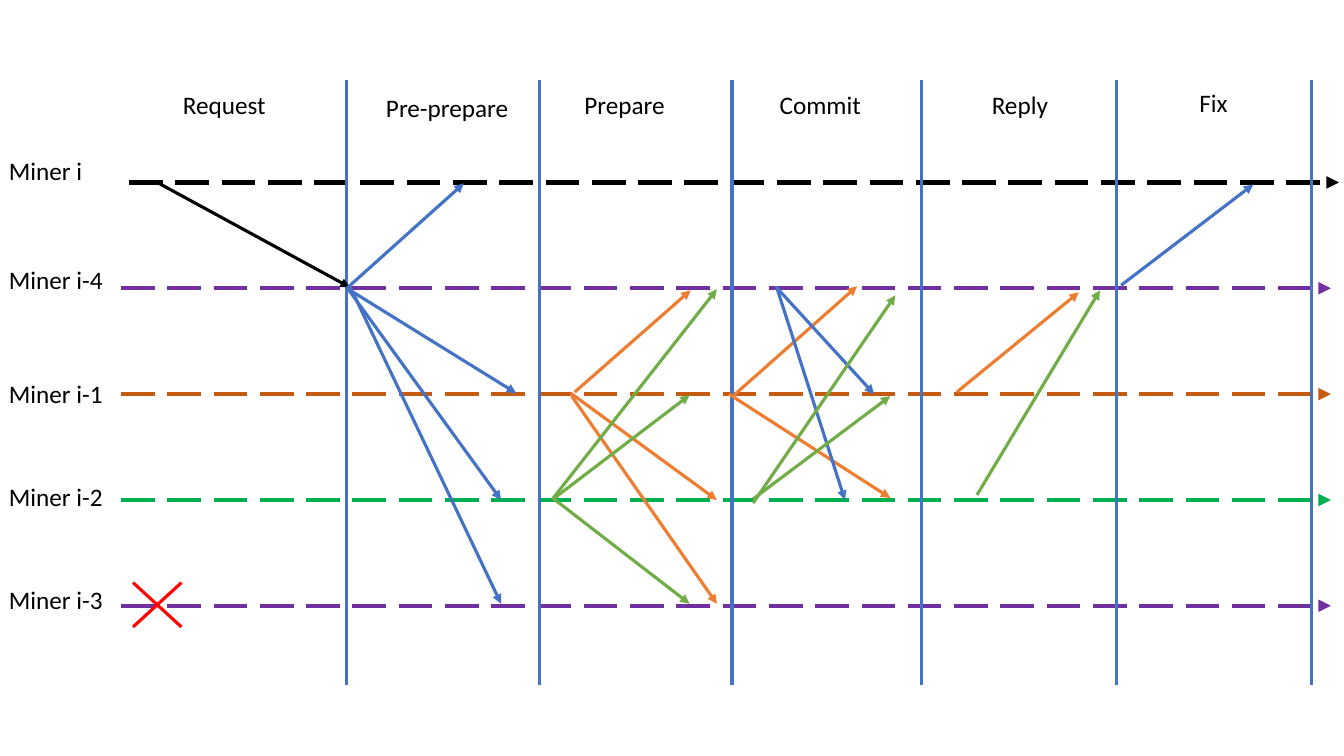
from dataclasses import dataclass

from lxml.etree import SubElement
from pptx import Presentation
from pptx.dml.color import RGBColor
from pptx.enum.dml import MSO_LINE
from pptx.enum.shapes import MSO_CONNECTOR
from pptx.enum.text import MSO_AUTO_SIZE, PP_ALIGN
from pptx.oxml.ns import qn
from pptx.util import Inches, Pt


@dataclass(frozen=True)
class Theme:
    """Colours, type and line weights of the slide."""
    black: str = "000000"
    purple: str = "7030A0"
    rust: str = "C55A11"
    emerald: str = "00B050"
    blue: str = "4472C4"
    orange: str = "ED7D31"
    green: str = "70AD47"
    red: str = "FF0000"
    font: str = "Calibri"
    text_size: float = 18
    lane_width: float = 3
    line_width: float = 2.25


@dataclass(frozen=True)
class Box:
    """A region of the slide, in inches."""
    left: float
    top: float
    width: float
    height: float


THEME = Theme()
DIAGRAM = Box(1.2, 0.79, 12, 6.01)
LABEL_LEFT, LABEL_WIDTH, LABEL_HEIGHT = -1.21, 2.35, 0.4
HEADER_WIDTH = 2.05

# Name, colour, offset of the line's start, rise of the label above the line
LANES = [
    ("Miner i", THEME.black, 0.08, 0.32),
    ("Miner i-4", THEME.purple, 0, 0.29),
    ("Miner i-1", THEME.rust, 0, 0.21),
    ("Miner i-2", THEME.emerald, 0, 0.23),
    ("Miner i-3", THEME.purple, 0, 0.26),
]
FIRST_LANE, LANE_STEP = 1.02, 1.05

# Name, left edge in the diagram, header offset, and the messages by colour:
# each message runs from (x, y) to (x, y) within its phase
PHASES = [
    ("Request", 0, (0, 0.05), {THEME.black: [(0.36, 1.02, 2.27, 2.06)]}),
    ("Pre-prepare", 2.24, (-0.03, 0.08), {
        THEME.blue: [(0, 2.07, 1.68, 3.11), (0, 2.06, 1.53, 4.17),
                     (0.03, 2.05, 1.53, 5.2), (0, 2.07, 1.16, 1.03)]}),
    ("Prepare", 4.15, (-0.18, 0.05), {
        THEME.orange: [(0.31, 3.11, 1.76, 4.17), (0.35, 3.1, 1.5, 2.09),
                       (0.32, 3.14, 1.76, 5.2)],
        THEME.green: [(0.13, 4.15, 1.49, 5.2), (0.15, 4.15, 1.49, 3.13),
                      (0.13, 4.16, 1.76, 2.08)]}),
    ("Commit", 6.06, (-0.15, 0.05), {
        THEME.orange: [(0.02, 3.13, 1.24, 2.05), (-0.03, 3.12, 1.57, 4.15)],
        THEME.blue: [(0.44, 2.06, 1.41, 3.12), (0.44, 2.05, 1.12, 4.17)],
        THEME.green: [(0.21, 4.16, 1.57, 3.14), (0.21, 4.2, 1.62, 2.14)]}),
    ("Reply", 7.94, (-0.05, 0.05), {
        THEME.orange: [(0.35, 3.1, 1.56, 2.11)],
        THEME.green: [(0.55, 4.12, 1.77, 2.09)]}),
    ("Fix", 9.87, (-0.06, 0.03), {THEME.blue: [(0.05, 2.04, 1.36, 1.04)]}),
]
DIAGRAM_END = 11.81


def add_line(slide, box, points, color, width=THEME.line_width, arrow=False, dashed=False):
    """Draw a straight line between two points given relative to the box."""
    x1, y1, x2, y2 = points
    connector = slide.shapes.add_connector(
        MSO_CONNECTOR.STRAIGHT,
        Inches(box.left + x1), Inches(box.top + y1),
        Inches(box.left + x2), Inches(box.top + y2))
    connector.line.color.rgb = RGBColor.from_string(color)
    connector.line.width = Pt(width)
    if dashed:
        connector.line.dash_style = MSO_LINE.LONG_DASH
    properties = connector._element.spPr
    if arrow:
        SubElement(properties.find(qn("a:ln")), qn("a:tailEnd"), type="triangle")
    SubElement(properties, qn("a:effectLst"))


def add_label(slide, box, text, alignment=PP_ALIGN.LEFT):
    """Fill the box with one line of text."""
    shape = slide.shapes.add_textbox(
        Inches(box.left), Inches(box.top), Inches(box.width), Inches(box.height))
    frame = shape.text_frame
    frame.word_wrap = True
    frame.auto_size = MSO_AUTO_SIZE.SHAPE_TO_FIT_TEXT
    frame.text = text
    paragraph = frame.paragraphs[0]
    paragraph.alignment = alignment
    font = paragraph.runs[0].font
    font.name = THEME.font
    font.size = Pt(THEME.text_size)
    font.color.rgb = RGBColor.from_string(THEME.black)


def add_lanes(slide, box):
    """Draw a dashed time line and a name for each miner."""
    for index, (name, color, start, rise) in enumerate(LANES):
        y = FIRST_LANE + index * LANE_STEP
        add_line(slide, box, (start, y, start + box.width, y), color,
                 THEME.lane_width, arrow=True, dashed=True)
        add_label(slide, Box(box.left + LABEL_LEFT, box.top + y - rise,
                             LABEL_WIDTH, LABEL_HEIGHT), name)


def add_failure_cross(slide, box):
    """Cross out the failed miner with the two diagonals of the box."""
    for start, end in ((0, box.height), (box.height, 0)):
        add_line(slide, box, (0, start, box.width, end), THEME.red)


def add_phase(slide, box, name, header_offset, messages):
    """Draw a phase: its closing divider, header and messages."""
    add_line(slide, box, (box.width, 0, box.width, box.height), THEME.blue)
    x, y = header_offset
    add_label(slide, Box(box.left + x, box.top + y, HEADER_WIDTH, LABEL_HEIGHT),
              name, PP_ALIGN.CENTER)
    for color, arrows in messages.items():
        for points in arrows:
            add_line(slide, box, points, color, arrow=True)


def add_consensus_diagram(slide, box):
    """Draw the miners' lanes and the phases of the protocol."""
    add_lanes(slide, box)
    add_failure_cross(slide, Box(box.left + 0.12, box.top + 4.99, 0.48, 0.44))
    edges = [phase[1] for phase in PHASES[1:]] + [DIAGRAM_END]
    for (name, left, header_offset, messages), right in zip(PHASES, edges):
        phase_box = Box(box.left + left, box.top, right - left, box.height)
        add_phase(slide, phase_box, name, header_offset, messages)


def main():
    """Build and save the presentation."""
    presentation = Presentation()
    presentation.slide_width = Inches(13.33)
    presentation.slide_height = Inches(7.5)
    slide = presentation.slides.add_slide(presentation.slide_layouts[6])
    add_consensus_diagram(slide, DIAGRAM)
    presentation.save("out.pptx")


main()
